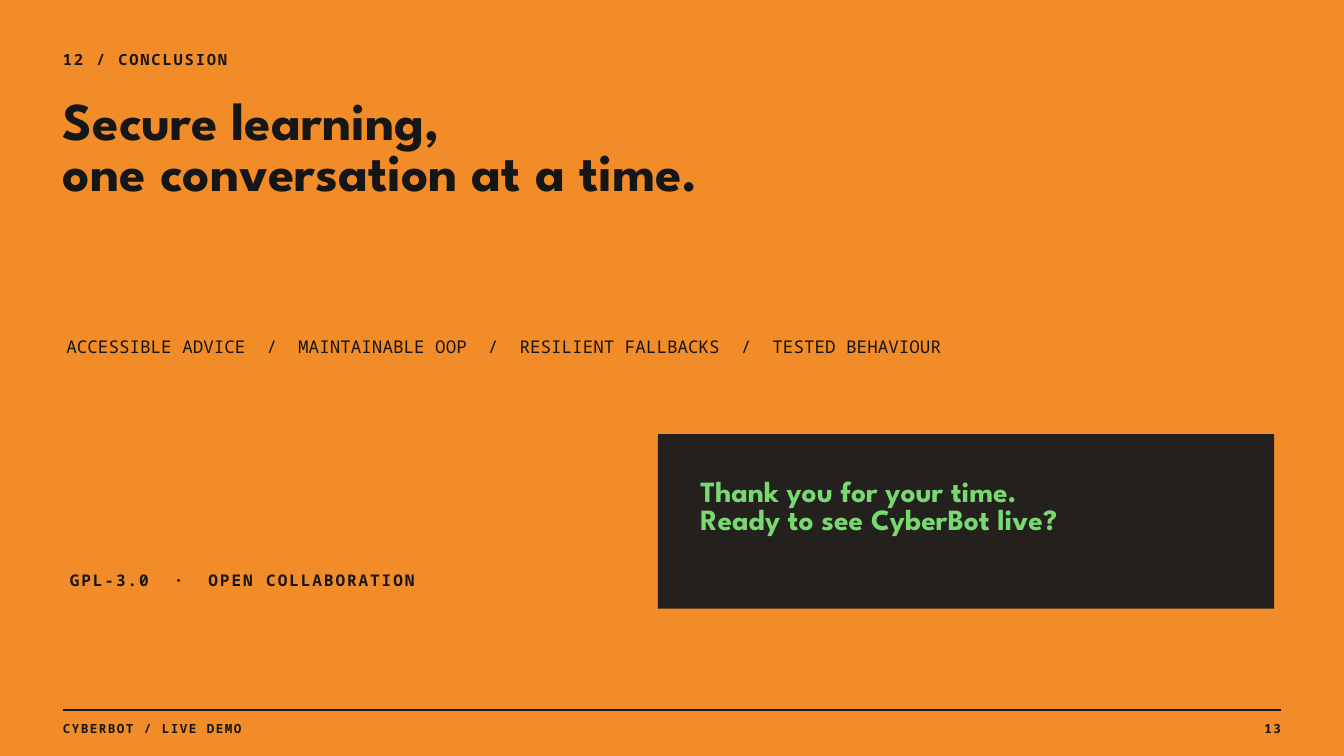
from lxml import etree
from pptx import Presentation
from pptx import util as u
from pptx.dml.color import RGBColor
from pptx.enum import shapes, text
from pptx.oxml.ns import qn

ORANGE = RGBColor(0xF2, 0x8C, 0x28)
INK = RGBColor(0x16, 0x16, 0x16)
PANEL = RGBColor(0x24, 0x20, 0x1D)
GREEN = RGBColor(0x77, 0xD9, 0x70)
SANS = "League Spartan"
MONO = "Noto Sans Mono"
LEFT, RIGHT = 2.38, 48.42


def place(shape, left, top, width, height):
    shape.left, shape.top = u.Cm(left), u.Cm(top)
    shape.width, shape.height = u.Cm(width), u.Cm(height)


def write(shape, words, size, lead, face=MONO, color=INK, bold=True,
          gap=0, align=text.PP_ALIGN.LEFT):
    frame = shape.text_frame
    frame.text = words
    frame.word_wrap = True
    frame.auto_size = text.MSO_AUTO_SIZE.NONE
    frame.vertical_anchor = text.MSO_ANCHOR.TOP
    frame.margin_left = frame.margin_right = 0
    frame.margin_top = frame.margin_bottom = 0
    for para in frame.paragraphs:
        para.alignment = align
        para.line_spacing = u.Pt(lead)
        para.space_before = u.Pt(0)
        for run in para.runs:
            font = run.font
            font.name, font.size, font.bold = face, u.Pt(size), bold
            font.color.rgb = color
            if gap:
                run._r.get_or_add_rPr().set("spc", str(round(gap * 100)))


def label(slide, box, words, size, lead, **style):
    shape = slide.shapes.add_textbox(*map(u.Cm, box))
    write(shape, words, size, lead, **style)


def panel(slide, box):
    shape = slide.shapes.add_shape(shapes.MSO_SHAPE.RECTANGLE, *map(u.Cm, box))
    shape.shadow.inherit = False
    shape.fill.solid()
    shape.fill.fore_color.rgb = PANEL
    shape.line.fill.background()


def rule(slide, top):
    line = slide.shapes.add_connector(
        shapes.MSO_CONNECTOR.STRAIGHT,
        u.Cm(LEFT), u.Cm(top), u.Cm(RIGHT), u.Cm(top))
    line.line.color.rgb = INK
    line.line.width = u.Pt(2)
    etree.SubElement(line._element.spPr, qn("a:effectLst"))


def footer(slide, name, number):
    rule(slide, 26.85)
    label(slide, (LEFT, 27.15, 18.52, 0.61), name, 13.5, 18.9, gap=1.6)
    label(slide, (RIGHT - 2.4, 27.15, 2.4, 0.61), number, 13.5, 18.9,
          gap=1.6, align=text.PP_ALIGN.RIGHT)


def main():
    deck = Presentation()
    deck.slide_width, deck.slide_height = u.Cm(50.8), u.Cm(28.58)
    slide = deck.slides.add_slide(deck.slide_layouts.get_by_name("Title Only"))
    slide.background.fill.solid()
    slide.background.fill.fore_color.rgb = ORANGE

    title = slide.shapes.title
    place(title, LEFT, 3.81, 30.43, 3.94)
    write(title, "Secure learning,\none conversation at a time.", 57, 54.1, face=SANS)

    label(slide, (LEFT, 1.78, 15.88, 0.76), "12 / CONCLUSION", 16.5, 23.1, gap=2)
    label(slide, (2.51, 12.62, 39.67, 0.86),
          "ACCESSIBLE ADVICE  /  MAINTAINABLE OOP  /  "
          "RESILIENT FALLBACKS  /  TESTED BEHAVIOUR",
          18.8, 25.3, bold=False)
    label(slide, (2.64, 21.46, 18.52, 0.84),
          "GPL-3.0  ·  OPEN COLLABORATION", 17.2, 24.1, gap=2.1)

    panel(slide, (24.87, 16.41, 23.29, 6.6))
    label(slide, (26.47, 18.16, 19.05, 2.16),
          "Thank you for your time.\nReady to see CyberBot live?",
          31.5, 29.9, face=SANS, color=GREEN)

    footer(slide, "CYBERBOT / LIVE DEMO", "13")
    deck.save("out.pptx")


if __name__ == "__main__":
    main()
